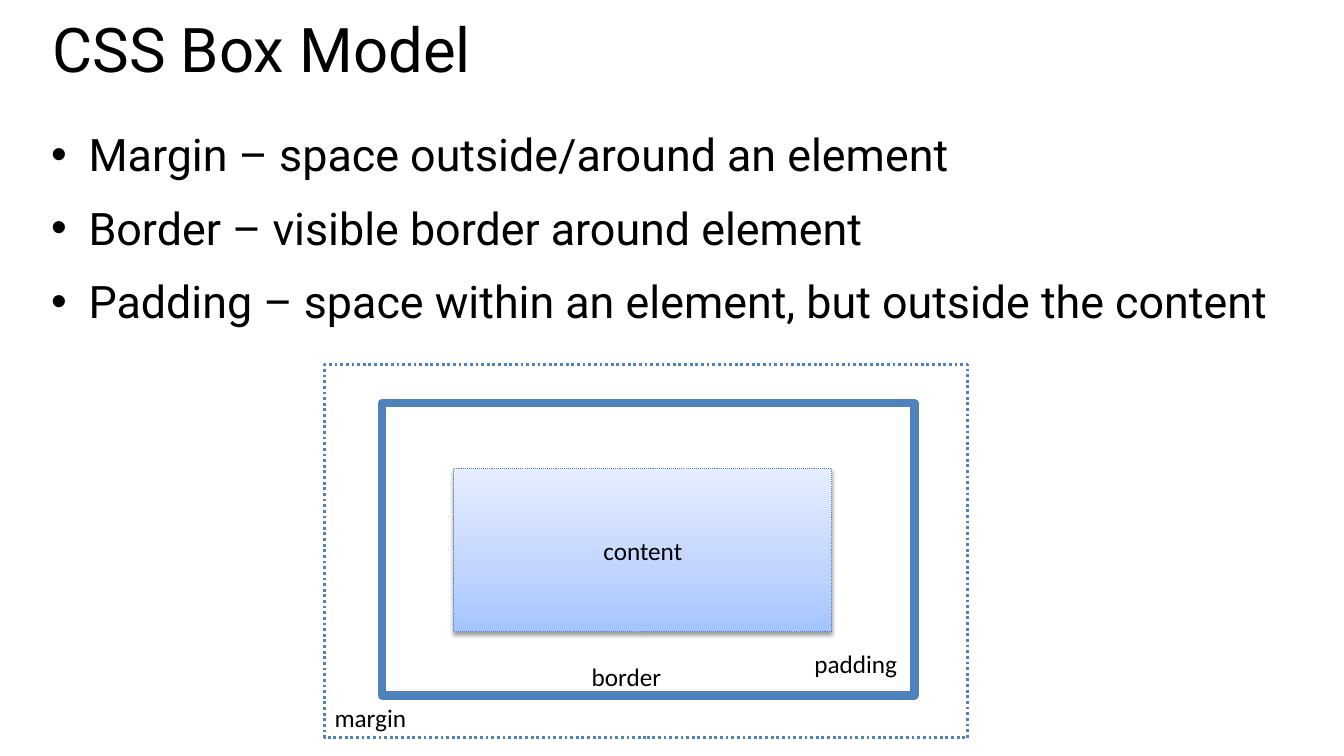
import copy

import pptx
import pptx.dml.color
import pptx.enum.dml
import pptx.enum.shapes
import pptx.enum.text
import pptx.oxml
import pptx.oxml.ns
import pptx.util
import lxml.etree

PX = 9144  # 100 px to the inch
SLIDE = (1333, 750)
COLORS = {"text": "000000", "paper": "FFFFFF", "line": "4F81BD", "content_line": "4B7EBC"}
GRADIENT = [(0, "A4C4FF"), (35, "BFD4FF"), (100, "E6EEFF")]

TITLE = ("CSS Box Model", (42, 20, 1260, 116))
BODY_BOX = (41, 121, 1260, 579)
BULLETS = [
    "Margin – space outside/around an element",
    "Border – visible border around element",
    "Padding – space within an element, but outside the content",
]
INDENT = 37
# box, line colour, line width, dotted
BOXES = {
    "margin": ((322, 362, 638, 370), "line", 2, True),
    "border": ((379, 400, 528, 290), "line", 6, False),
    "content": ((450, 465, 375, 162), "content_line", 0.75, True),
}
LABELS = {
    "margin": (322, 692, 164, 40),
    "padding": (798, 638, 126, 40),
    "border": (577, 651, 104, 40),
}
HEADING = {"name": "Roboto", "size": pptx.util.Pt(44)}
BULLET = {"name": "Roboto", "size": pptx.util.Pt(32)}
LABEL = {"name": "Calibri", "size": pptx.util.Pt(18)}

ALIGN = pptx.enum.text.PP_ALIGN
ANCHOR = pptx.enum.text.MSO_ANCHOR
AUTO = pptx.enum.text.MSO_AUTO_SIZE
qn = pptx.oxml.ns.qn


def emu(box):
    return [v * PX for v in box]


def rgb(name):
    return pptx.dml.color.RGBColor.from_string(COLORS[name])


def write(p, text, style):
    r = p.add_run()
    r.text = text
    for key, value in style.items():
        setattr(r.font, key, value)
    r.font.color.rgb = rgb("text")


def add_text(slide, box):
    tf = slide.shapes.add_textbox(*emu(box)).text_frame
    tf.word_wrap = True
    return tf


def add_bullet(p):
    pPr = p._p.get_or_add_pPr()
    pPr.set("marL", str(INDENT * PX))
    pPr.set("indent", str(-INDENT * PX))
    for tag, key, value in (("a:buFont", "typeface", "Arial"), ("a:buChar", "char", "•")):
        lxml.etree.SubElement(pPr, qn(tag)).set(key, value)


def add_box(slide, box, color, width, dotted):
    sp = slide.shapes.add_shape(pptx.enum.shapes.MSO_SHAPE.RECTANGLE, *emu(box))
    sp.shadow.inherit = False
    sp.fill.solid()
    sp.fill.fore_color.rgb = rgb("paper")
    sp.line.color.rgb = rgb(color)
    sp.line.width = pptx.util.Pt(width)
    if dotted:
        sp.line.dash_style = pptx.enum.dml.MSO_LINE.ROUND_DOT
    return sp


def shade(sp):
    """Give the shape the blue gradient, darkest at the bottom, and a soft shadow."""
    sp.fill.gradient()
    sp.fill.gradient_angle = 90
    stops = sp._element.spPr.find(qn("a:gradFill")).find(qn("a:gsLst"))
    stops.insert(1, copy.deepcopy(stops[0]))
    for stop, (position, color) in zip(sp.fill.gradient_stops, GRADIENT):
        stop.position = position / 100
        stop.color.rgb = pptx.dml.color.RGBColor.from_string(color)
    sp._element.spPr.find(qn("a:effectLst")).append(pptx.oxml.parse_xml(
        f'<a:outerShdw {pptx.oxml.ns.nsdecls("a")} blurRad="39370" dist="20320" '
        'dir="5400000" rotWithShape="0"><a:srgbClr val="000000">'
        '<a:alpha val="38000"/></a:srgbClr></a:outerShdw>'))


def main():
    prs = pptx.Presentation()
    prs.slide_width, prs.slide_height = emu(SLIDE)
    slide = prs.slides.add_slide(prs.slide_layouts[5])

    text, box = TITLE
    title = slide.shapes.title
    title.left, title.top, title.width, title.height = emu(box)
    tf = title.text_frame
    tf.auto_size = AUTO.NONE
    tf.vertical_anchor = ANCHOR.TOP
    p = tf.paragraphs[0]
    p.alignment = ALIGN.LEFT
    p.line_spacing = 0.8
    write(p, text, HEADING)

    tf = add_text(slide, BODY_BOX)
    for i, text in enumerate(BULLETS):
        p = tf.add_paragraph() if i else tf.paragraphs[0]
        p.space_before = pptx.util.Pt(14)
        add_bullet(p)
        write(p, text, BULLET)

    boxes = {name: add_box(slide, *look) for name, look in BOXES.items()}
    content = boxes["content"]
    shade(content)
    content.text_frame.vertical_anchor = ANCHOR.MIDDLE
    p = content.text_frame.paragraphs[0]
    p.alignment = ALIGN.CENTER
    write(p, "content", LABEL)

    for text, box in LABELS.items():
        tf = add_text(slide, box)
        tf.auto_size = AUTO.SHAPE_TO_FIT_TEXT
        write(tf.paragraphs[0], text, LABEL)

    prs.save("out.pptx")


if __name__ == "__main__":
    main()
